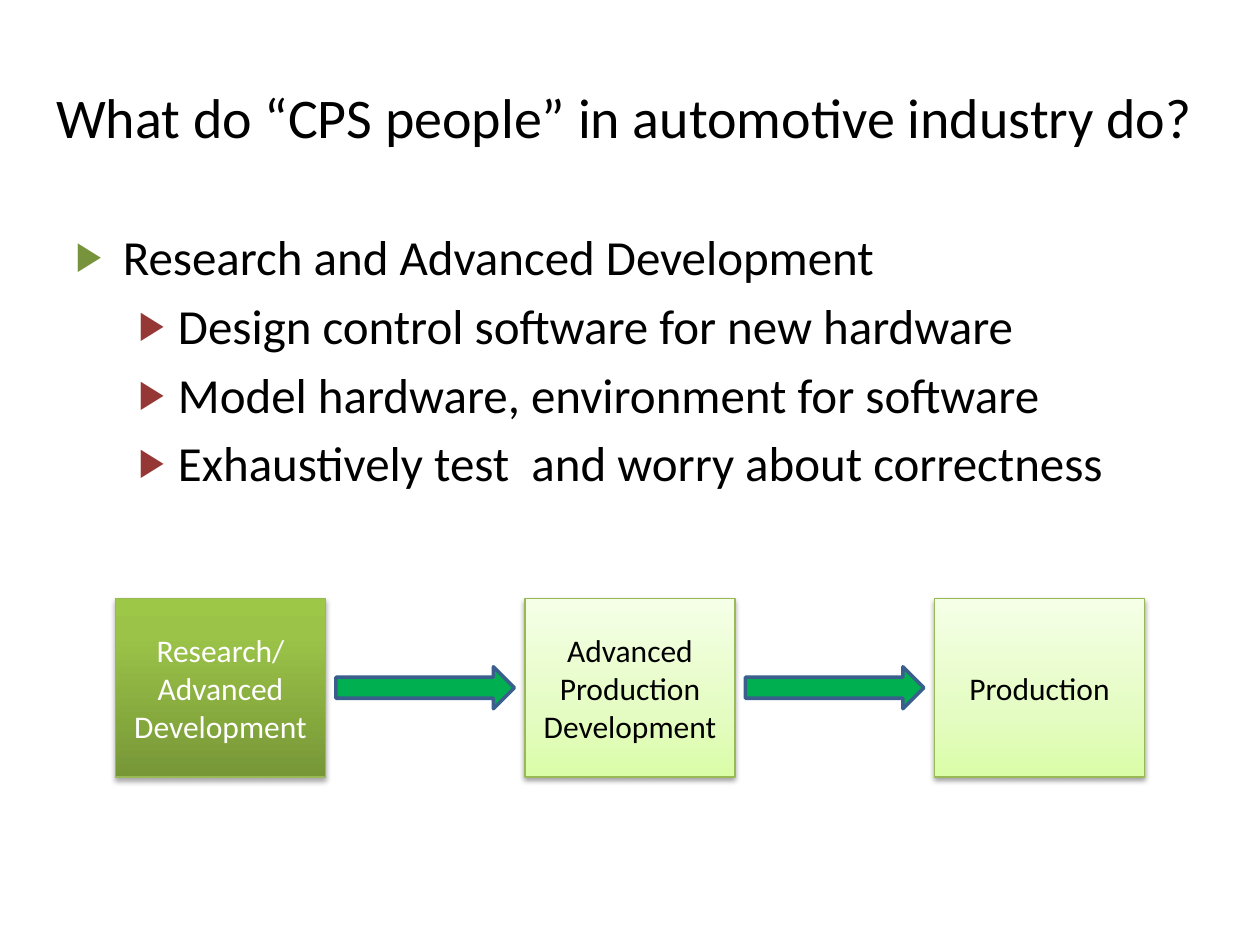
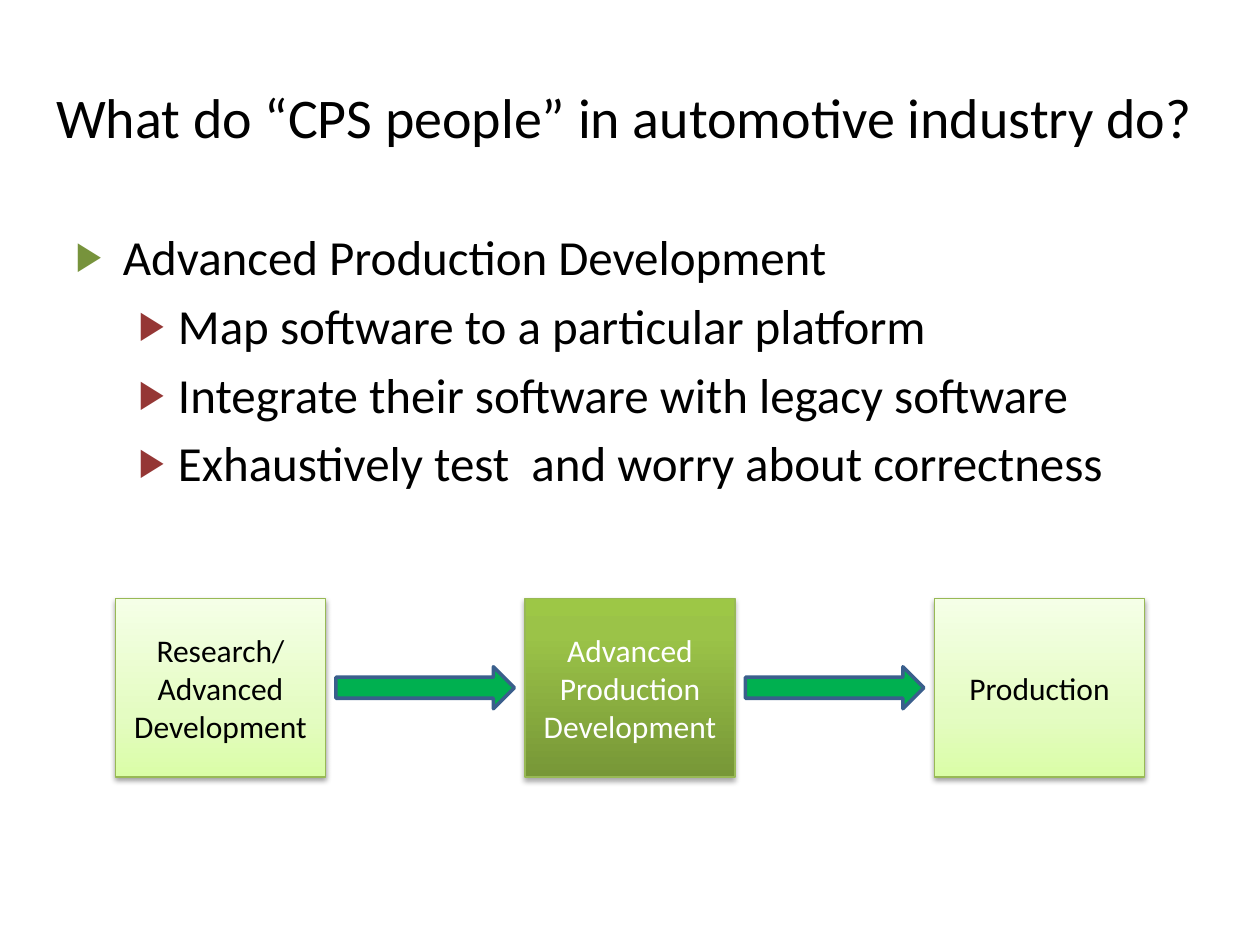
from lxml import etree
from pptx import Presentation
from pptx.dml.color import RGBColor
from pptx.enum.shapes import MSO_SHAPE
from pptx.enum.text import MSO_ANCHOR, MSO_AUTO_SIZE, PP_ALIGN
from pptx.oxml.ns import qn
from pptx.util import Pt

FONT = "Calibri"
COLORS = {
    "text": "000000",
    "active_text": "FFFFFF",
    "box_line": "98B955",
    "arrow": "00B050",
    "arrow_line": "3A5F8C",
    "shadow": "000000",
}
# Gradient stops run from the bottom of a box to its top.
ACTIVE_STOPS = [(0, "779737"), (80, "9BC348"), (100, "9DC746")]
PLAIN_STOPS = [(0, "DAFDA7"), (35, "E4FCC2"), (100, "F5FFE7")]

# Per list level: left margin, hanging indent (pt), bullet size (%), colour.
BULLETS = [(27, 27, 81, "77933C"), (58.5, 22.5, 80, "953735")]

BOX_LEFT, BOX_TOP, BOX_WIDTH, BOX_HEIGHT = 66, 342, 120, 102
BOX_PITCH = 234
ARROW_GAP, ARROW_TOP, ARROW_HEIGHT = 6, 381, 24

TITLE = "What do “CPS people” in automotive industry do?"
STAGES = ["Research/ Advanced Development",
          "Advanced Production Development",
          "Production"]
LAST_DUTY = "Exhaustively test  and worry about correctness"
# Each slide: highlighted stage, heading, duties.
SLIDES = [
    (0, "Research and Advanced Development",
     ["Design control software for new hardware",
      "Model hardware, environment for software",
      LAST_DUTY]),
    (1, "Advanced Production Development",
     ["Map software to a particular platform",
      "Integrate their software with legacy software",
      LAST_DUTY]),
]


def place(shape, left, top, width, height):
    """Move and size a shape, in points."""
    shape.left, shape.top = Pt(left), Pt(top)
    shape.width, shape.height = Pt(width), Pt(height)


def style_font(font, size, color):
    """Set typeface, size and colour."""
    font.name, font.size = FONT, Pt(size)
    font.color.rgb = RGBColor.from_string(color)


def add_child(parent, tag, **attributes):
    """Append a drawing element with the given attributes."""
    child = etree.SubElement(parent, qn(tag))
    for name, value in attributes.items():
        child.set(name, str(value))
    return child


def set_title(slide):
    """Fill the title placeholder."""
    title = slide.shapes.title
    place(title, 18, 21.6, 678, 90)
    frame = title.text_frame
    frame.text = TITLE
    frame.auto_size = MSO_AUTO_SIZE.NONE
    frame.vertical_anchor = MSO_ANCHOR.MIDDLE
    paragraph = frame.paragraphs[0]
    paragraph.alignment = PP_ALIGN.CENTER
    style_font(paragraph.runs[0].font, 32, COLORS["text"])


def set_bullet(paragraph, level):
    """Give a paragraph its level, indent and coloured triangle."""
    margin, hanging, size, color = BULLETS[level]
    paragraph.level = level
    properties = paragraph._p.get_or_add_pPr()
    properties.set("marL", str(Pt(margin)))
    properties.set("indent", str(-Pt(hanging)))
    bullet_color = add_child(properties, "a:buClr")
    add_child(bullet_color, "a:srgbClr", val=color)
    add_child(properties, "a:buSzPct", val=size * 1000)
    add_child(properties, "a:buChar", char="▶")


def set_list(slide, heading, duties):
    """Fill the body placeholder with a heading and its duties."""
    body = slide.placeholders[1]
    place(body, 36, 126, 648, 180)
    frame = body.text_frame
    frame.text = "\n".join([heading] + duties)
    frame.auto_size = MSO_AUTO_SIZE.NONE
    for index, paragraph in enumerate(frame.paragraphs):
        set_bullet(paragraph, min(index, 1))
        style_font(paragraph.runs[0].font, 28, COLORS["text"])


def set_gradient(shape, stops):
    """Fill a shape with a vertical gradient."""
    shape.fill.gradient()
    shape.fill.gradient_angle = 90
    stop_list = shape._element.spPr.find(".//" + qn("a:gsLst"))
    for old_stop in list(stop_list):
        stop_list.remove(old_stop)
    for position, color in stops:
        stop = add_child(stop_list, "a:gs", pos=position * 1000)
        add_child(stop, "a:srgbClr", val=color)


def set_shadow(shape, opacity, distance):
    """Put a soft shadow below a shape."""
    shape.shadow.inherit = False
    effects = shape._element.spPr.find(qn("a:effectLst"))
    shadow = add_child(effects, "a:outerShdw", blurRad=Pt(3.1),
                       dist=Pt(distance), dir=90 * 60000, rotWithShape=0)
    color = add_child(shadow, "a:srgbClr", val=COLORS["shadow"])
    add_child(color, "a:alpha", val=opacity * 1000)


def set_line(shape, color, width):
    """Set the outline of a shape."""
    shape.line.color.rgb = RGBColor.from_string(color)
    shape.line.width = Pt(width)


def add_stage(slide, left, label, active):
    """Draw one stage box, dark when it is the active one."""
    box = slide.shapes.add_shape(MSO_SHAPE.RECTANGLE, Pt(left), Pt(BOX_TOP),
                                 Pt(BOX_WIDTH), Pt(BOX_HEIGHT))
    set_gradient(box, ACTIVE_STOPS if active else PLAIN_STOPS)
    set_line(box, COLORS["box_line"], 0.75)
    if active:
        set_shadow(box, 35, 1.8)
    else:
        set_shadow(box, 38, 1.6)
    frame = box.text_frame
    frame.text = label
    frame.word_wrap = True
    frame.vertical_anchor = MSO_ANCHOR.MIDDLE
    paragraph = frame.paragraphs[0]
    paragraph.alignment = PP_ALIGN.CENTER
    color = COLORS["active_text" if active else "text"]
    style_font(paragraph.runs[0].font, 18, color)


def add_arrow(slide, box_left):
    """Draw the block arrow that leads from a box to the next one."""
    arrow = slide.shapes.add_shape(
        MSO_SHAPE.RIGHT_ARROW,
        Pt(box_left + BOX_WIDTH + ARROW_GAP), Pt(ARROW_TOP),
        Pt(BOX_PITCH - BOX_WIDTH - 2 * ARROW_GAP), Pt(ARROW_HEIGHT))
    arrow.shadow.inherit = False
    arrow.fill.solid()
    arrow.fill.fore_color.rgb = RGBColor.from_string(COLORS["arrow"])
    set_line(arrow, COLORS["arrow_line"], 2)


def add_process(slide, active_stage):
    """Draw the row of stages with arrows between them."""
    lefts = [BOX_LEFT + BOX_PITCH * i for i in range(len(STAGES))]
    for index, (left, label) in enumerate(zip(lefts, STAGES)):
        add_stage(slide, left, label, index == active_stage)
    for left in lefts[:-1]:
        add_arrow(slide, left)


def main():
    """Build and save the deck."""
    deck = Presentation()
    deck.slide_width, deck.slide_height = Pt(720), Pt(540)
    for active_stage, heading, duties in SLIDES:
        slide = deck.slides.add_slide(deck.slide_layouts[1])
        set_title(slide)
        set_list(slide, heading, duties)
        add_process(slide, active_stage)
    deck.save("out.pptx")


main()
